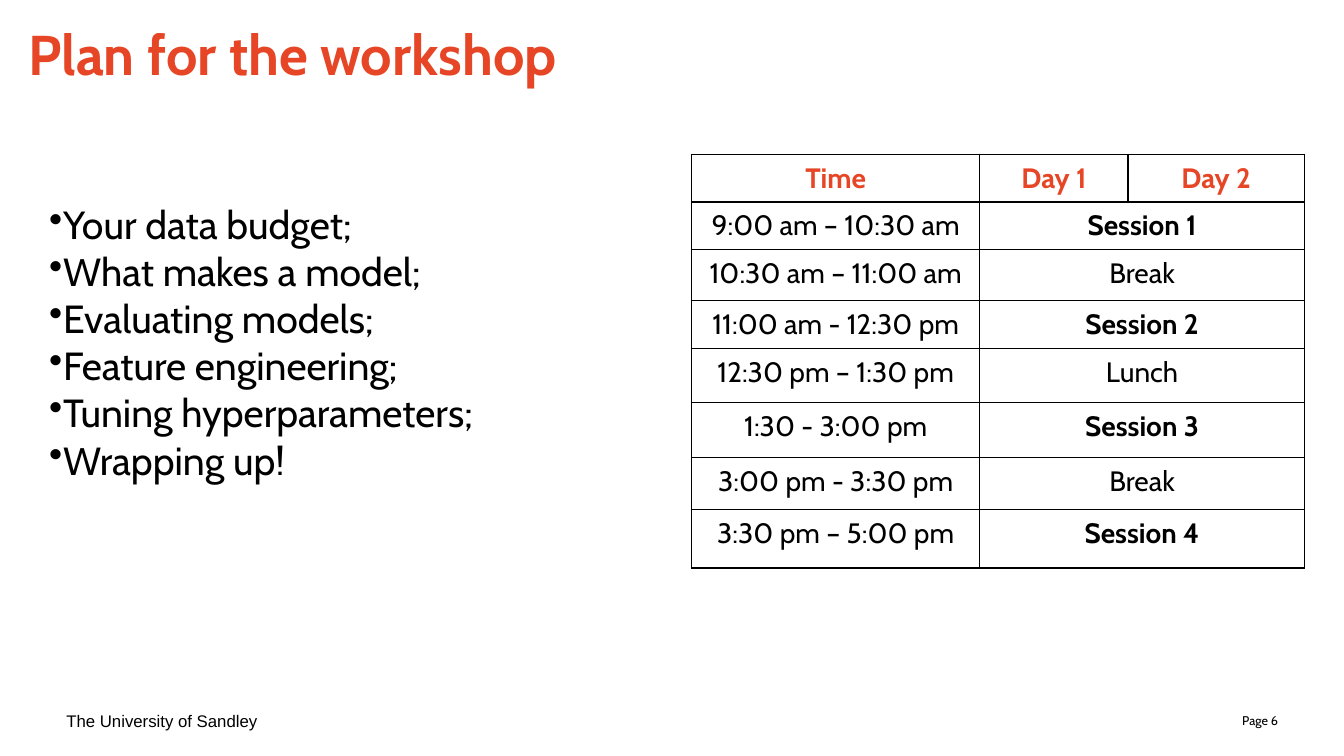
from lxml import etree
from pptx import Presentation
from pptx.dml.color import RGBColor
from pptx.enum.text import MSO_ANCHOR, MSO_AUTO_SIZE, PP_ALIGN
from pptx.oxml.ns import qn
from pptx.util import Pt

LEFT, CENTER, RIGHT = PP_ALIGN.LEFT, PP_ALIGN.CENTER, PP_ALIGN.RIGHT
TOP, MIDDLE = MSO_ANCHOR.TOP, MSO_ANCHOR.MIDDLE
NO_FIT = MSO_AUTO_SIZE.NONE
TITLE_ONLY = 5

TOPICS = ["Your data budget;", "What makes a model;", "Evaluating models;",
          "Feature engineering;", "Tuning hyperparameters;", "Wrapping up!"]
HEADINGS = ["Time", "Day 1", "Day 2"]
SCHEDULE = [
    ("9:00 am – 10:30 am", "Session 1"),
    ("10:30 am – 11:00 am", "Break"),
    ("11:00 am - 12:30 pm", "Session 2"),
    ("12:30 pm – 1:30 pm", "Lunch"),
    ("1:30 - 3:00 pm", "Session 3"),
    ("3:00 pm - 3:30 pm", "Break"),
    ("3:30 pm – 5:00 pm", "Session 4"),
]
COLUMN_WIDTHS = [205.9, 105.8, 126]
ROW_HEIGHTS = [34, 34, 36.5, 34, 39, 39, 37.5, 41.5]


def color(hex_string):
    return RGBColor.from_string(hex_string)


class WorkshopSlide:
    font, ink, accent = "Cabin", "000000", "E64626"

    def __init__(self, deck):
        self.page = deck.slides.add_slide(deck.slide_layouts[TITLE_ONLY])

    def add_span(self, para, text, size, ink=None, bold=False, align=LEFT, font=None):
        para.alignment = align
        span = para.add_run()
        span.text = text
        span.font.name = font or self.font
        span.font.size = Pt(size)
        span.font.bold = bold
        span.font.color.rgb = color(ink or self.ink)

    def title(self, text, left, top, width, height):
        box = self.page.shapes.title
        box.left, box.top, box.width, box.height = map(Pt, (left, top, width, height))
        frame = box.text_frame
        frame.margin_left = frame.margin_right = frame.margin_top = frame.margin_bottom = 0
        frame.vertical_anchor = TOP
        frame.auto_size = NO_FIT
        self.add_span(frame.paragraphs[0], text, 40, self.accent, bold=True)

    def text(self, lines, left, top, width, height, size,
             align=LEFT, anchor=TOP, font=None, bulleted=False):
        box = self.page.shapes.add_textbox(*map(Pt, (left, top, width, height)))
        frame = box.text_frame
        frame.word_wrap = True
        frame.vertical_anchor = anchor
        for index, line in enumerate(lines):
            para = frame.add_paragraph() if index else frame.paragraphs[0]
            self.add_span(para, line, size, align=align, font=font)
            if bulleted:
                etree.SubElement(para._p.get_or_add_pPr(), qn("a:buChar"), char="•")

    def border(self, cell):
        properties = cell._tc.get_or_add_tcPr()
        for index, side in enumerate(("a:lnL", "a:lnR", "a:lnT", "a:lnB")):
            line = etree.Element(qn(side), w=str(Pt(1)))
            fill = etree.SubElement(line, qn("a:solidFill"))
            etree.SubElement(fill, qn("a:srgbClr"), val=self.ink)
            properties.insert(index, line)

    def cell(self, cell, text, ink=None, bold=False):
        cell.margin_left = cell.margin_right = Pt(9.4)
        cell.margin_top = cell.margin_bottom = Pt(5)
        self.add_span(cell.text_frame.paragraphs[0], text, 20, ink, bold, CENTER)

    def timetable(self, left, top):
        """Draw the schedule, with each activity spanning both days."""
        frame = self.page.shapes.add_table(
            len(ROW_HEIGHTS), len(COLUMN_WIDTHS), Pt(left), Pt(top),
            Pt(sum(COLUMN_WIDTHS)), Pt(sum(ROW_HEIGHTS)))
        table = frame.table
        table.first_row = table.horz_banding = False
        for column, width in zip(table.columns, COLUMN_WIDTHS):
            column.width = Pt(width)
        for row, height in zip(table.rows, ROW_HEIGHTS):
            row.height = Pt(height)
        for cell in table.iter_cells():
            cell.fill.background()
            self.border(cell)
        for index, heading in enumerate(HEADINGS):
            self.cell(table.cell(0, index), heading, self.accent, bold=True)
        for index, (time, activity) in enumerate(SCHEDULE, start=1):
            table.cell(index, 1).merge(table.cell(index, 2))
            self.cell(table.cell(index, 0), time)
            self.cell(table.cell(index, 1), activity, bold=activity.startswith("Session"))


def main():
    deck = Presentation()
    deck.slide_width, deck.slide_height = Pt(960), Pt(540)
    slide = WorkshopSlide(deck)
    slide.title("Plan for the workshop", 20.2, 13.7, 885, 51)
    slide.text(["Page 6"], 696, 500.4, 224, 28.8, 9, align=RIGHT, anchor=MIDDLE)
    slide.text(["The University of Sandley"], 40.3, 500.4, 224, 28.8, 12,
               anchor=MIDDLE, font="Arial")
    slide.timetable(494, 110.2)
    slide.text(TOPICS, 28.1, 139.7, 454.3, 211, 28, bulleted=True)
    deck.save("out.pptx")


if __name__ == "__main__":
    main()
